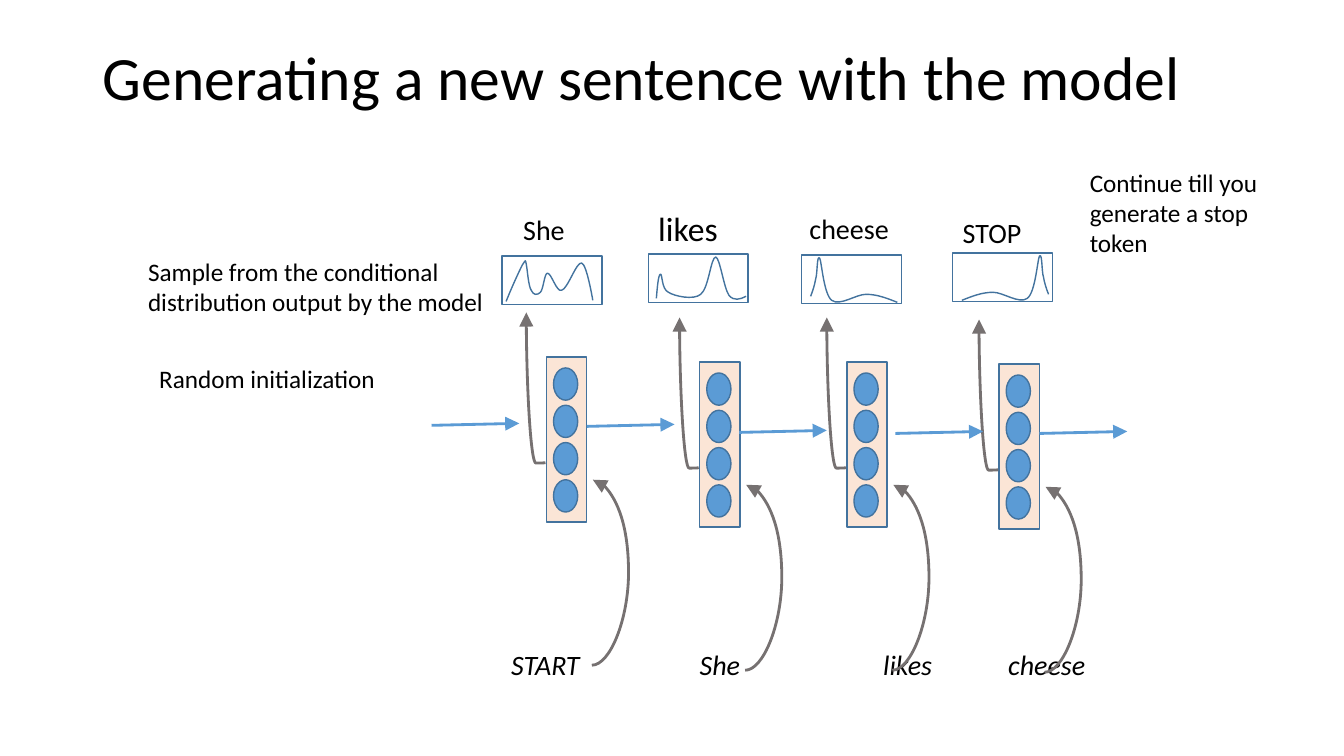
from dataclasses import dataclass

from pptx import Presentation
from pptx.dml.color import RGBColor as RGB
from pptx.enum.shapes import MSO_CONNECTOR as LINK, MSO_SHAPE as SHAPE
from pptx.enum.text import MSO_ANCHOR as ANCHOR, MSO_AUTO_SIZE as FIT, PP_ALIGN as ALIGN
from pptx.oxml.ns import qn
from pptx.oxml.xmlchemy import OxmlElement
from pptx.util import Inches, Pt


@dataclass(frozen=True)
class Theme:
    """Colours, font and type sizes of the slide."""
    font: str = "Calibri"
    ink: RGB = RGB(0, 0, 0)
    outline: RGB = RGB(0x43, 0x73, 0x9E)
    cell: RGB = RGB(0xFB, 0xE5, 0xD6)
    unit: RGB = RGB(0x5B, 0x9B, 0xD5)
    curve: RGB = RGB(0x76, 0x71, 0x71)
    title: int = 44
    large: int = 24
    word: int = 20
    note: int = 18


THEME = Theme()

CELLS = [(5.42, 3.54), (6.94, 3.59), (8.4, 3.59), (9.91, 3.61)]
STATE_STARTS = [(4.28, 4.22), (5.82, 4.23), (7.33, 4.29), (8.88, 4.3), (10.31, 4.3)]
INPUT_WORDS = ["START", "She", "likes", "cheese"]
INPUT_TABS = [1.87, 3.69, 4.93]

SHE = [(.04, .45), (.10, .30), (.17, .15), (.20, .09), (.24, .03), (.23, .04), (.24, .08),
       (.25, .12), (.26, .30), (.29, .34), (.31, .39), (.35, .39), (.38, .36),
       (.41, .33), (.42, .17), (.45, .17), (.49, .17), (.54, .36), (.59, .34),
       (.65, .33), (.74, .05), (.79, .07), (.84, .08), (.90, .44), (.90, .44)]
LIKES = [(.08, .44), (.09, .32), (.10, .21), (.12, .20), (.14, .19), (.13, .35), (.20, .38),
         (.26, .42), (.45, .46), (.52, .40), (.60, .34), (.62, .03), (.67, .03),
         (.71, .04), (.75, .34), (.80, .41), (.85, .47), (.91, .45), (.97, .42)]
CHEESE = [(.09, .41), (.11, .36), (.13, .30), (.14, .24), (.16, .18), (.15, 0), (.18, .03),
          (.20, .07), (.22, .39), (.30, .45), (.38, .51), (.54, .39), (.64, .39),
          (.75, .39), (.85, .43), (.95, .47)]
STOP = [(1.04 - x, y) for x, y in CHEESE]
DISTRIBUTIONS = [(4.98, 2.54, SHE), (6.43, 2.52, LIKES), (7.95, 2.53, CHEESE), (9.45, 2.51, STOP)]

LABELS = [
    ("She", (5.09, 2.06, 1.05, 0.44), THEME.word, True),
    ("likes", (6.43, 2.01, 1.08, 0.5), THEME.large, True),
    ("cheese", (7.93, 2.05, 1, 0.44), THEME.word, False),
    ("STOP", (9.45, 2.09, 0.79, 0.44), THEME.word, False),
    ("Sample from the conditional\ndistribution output by the model", (1.37, 2.49, 3.57, 0.71), THEME.note, False),
    ("Random initialization", (1.48, 3.56, 2.37, 0.4), THEME.note, False),
    ("Continue till you generate a stop token", (10.71, 1.61, 2.15, 1.31), THEME.note, True),
]


def set_font(p, size, italic=False):
    """Format a paragraph's runs."""
    fmt = {"name": THEME.font, "size": Pt(size), "italic": italic}
    for r in p.runs:
        for name, value in fmt.items():
            setattr(r.font, name, value)
        r.font.color.rgb = THEME.ink


def add_title(s, text):
    """Fill and place the title placeholder."""
    sp = s.shapes.title
    box = {"left": 0.92, "top": 0.07, "width": 11.5, "height": 1.45}
    for name, value in box.items():
        setattr(sp, name, Inches(value))
    tf = sp.text_frame
    tf.text = text
    for name, value in {"auto_size": FIT.NONE, "vertical_anchor": ANCHOR.MIDDLE}.items():
        setattr(tf, name, value)
    p = tf.paragraphs[0]
    for name, value in {"alignment": ALIGN.LEFT, "line_spacing": 0.9}.items():
        setattr(p, name, value)
    set_font(p, THEME.title)


def add_label(s, text, box, size, wrap=True, italic=False, tabs=()):
    """Add a text box with optional tab stops."""
    tf = s.shapes.add_textbox(*map(Inches, box)).text_frame
    for name, value in {"word_wrap": wrap, "auto_size": FIT.SHAPE_TO_FIT_TEXT, "text": text}.items():
        setattr(tf, name, value)
    for p in tf.paragraphs:
        if tabs:
            stops = OxmlElement("a:tabLst")
            for pos in tabs:
                stop = OxmlElement("a:tab")
                stop.set("pos", str(Inches(pos)))
                stop.set("algn", "l")
                stops.append(stop)
            p._p.get_or_add_pPr().append(stops)
        set_font(p, size, italic)


def style(sp, fill=None):
    """Give a shape its fill and thin outline, with no shadow."""
    sp.shadow.inherit = False
    if fill is None:
        sp.fill.background()
    else:
        sp.fill.solid()
        sp.fill.fore_color.rgb = fill
    sp.line.color.rgb = THEME.outline
    sp.line.width = Pt(1)


def add_box(s, kind, box, fill=None):
    """Add a preset shape."""
    style(s.shapes.add_shape(kind, *map(Inches, box)), fill)


def add_arrow(s, kind, ends, color, adjust=None, turn=0):
    """Add an arrow, optionally bent by a ratio and turned by degrees."""
    cx = s.shapes.add_connector(kind, *map(Inches, ends))
    cx.line.color.rgb = color
    cx.line.width = Pt(2)
    head = OxmlElement("a:tailEnd")
    for name, value in {"type": "triangle", "w": "lg", "len": "lg"}.items():
        head.set(name, value)
    cx.line._get_or_add_ln().append(head)
    spPr = cx._element.spPr
    spPr.append(OxmlElement("a:effectLst"))
    if turn:
        spPr.find(qn("a:xfrm")).set("rot", str(turn * 60000))
    if adjust is not None:
        guide = OxmlElement("a:gd")
        guide.set("name", "adj1")
        guide.set("fmla", f"val {round(adjust * 100000)}")
        spPr.find(qn("a:prstGeom")).get_or_add_avLst().append(guide)


def bend(sp):
    """Turn each three line segments of a freeform into one cubic curve."""
    lines = list(sp._element.iter(qn("a:lnTo")))
    for i in range(0, len(lines), 3):
        cubic = OxmlElement("a:cubicBezTo")
        lines[i].addprevious(cubic)
        for line in lines[i:i + 3]:
            cubic.append(line[0])
            line.getparent().remove(line)


def add_distribution(s, x, y, points):
    """Draw a framed probability curve."""
    add_box(s, SHAPE.RECTANGLE, (x, y, 0.99, 0.48))
    start, *rest = [(Inches(x + dx), Inches(y + dy)) for dx, dy in points]
    outline = s.shapes.build_freeform(*start)
    outline.add_line_segments(rest, close=False)
    sp = outline.convert_to_shape()
    bend(sp)
    style(sp)


def add_cell(s, x, y):
    """Draw a recurrent cell with its input and output arrows."""
    add_arrow(s, LINK.CURVE, (x + 0.45, y + 3.06, x + 0.46, y + 1.22), THEME.curve, adjust=37)
    add_box(s, SHAPE.RECTANGLE, (x, y, 0.4, 1.64), THEME.cell)
    for i in range(4):
        add_box(s, SHAPE.OVAL, (x + 0.07, y + 0.11 + 0.37 * i, 0.24, 0.32), THEME.unit)
    add_arrow(s, LINK.CURVE, (x - 0.85, y + 0.4, x + 0.64, y + 0.21), THEME.curve, adjust=-0.003, turn=270)


def main():
    """Build the slide."""
    prs = Presentation()
    prs.slide_width, prs.slide_height = Inches(13.33), Inches(7.5)
    s = prs.slides.add_slide(prs.slide_layouts[5])
    add_title(s, "Generating a new sentence with the model")
    add_label(s, "\t".join(INPUT_WORDS), (4.97, 6.37, 9.21, 0.44), THEME.word, italic=True, tabs=INPUT_TABS)
    for distribution in DISTRIBUTIONS:
        add_distribution(s, *distribution)
    for cell in CELLS:
        add_cell(s, *cell)
    for x, y in STATE_STARTS:
        add_arrow(s, LINK.STRAIGHT, (x, y, x + 0.87, y - 0.02), THEME.unit)
    for label in LABELS:
        add_label(s, *label)
    prs.save("out.pptx")


if __name__ == "__main__":
    main()
